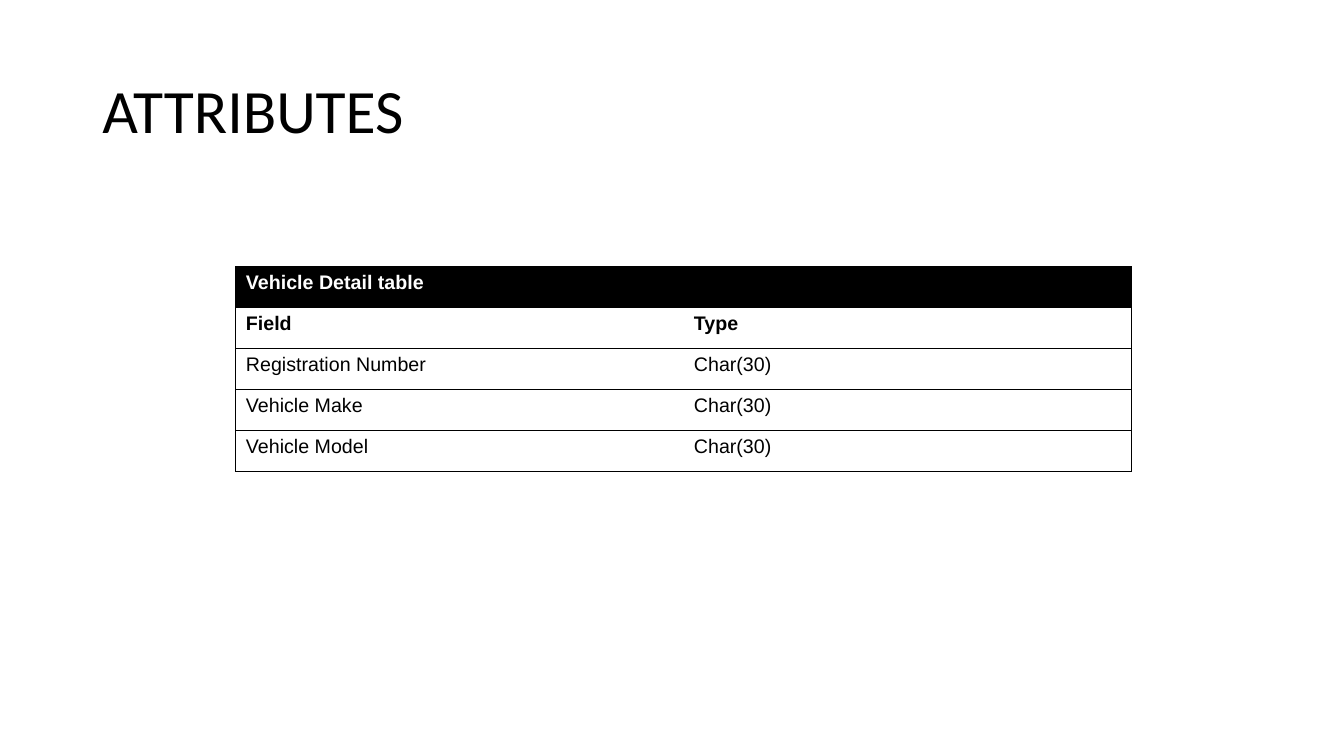
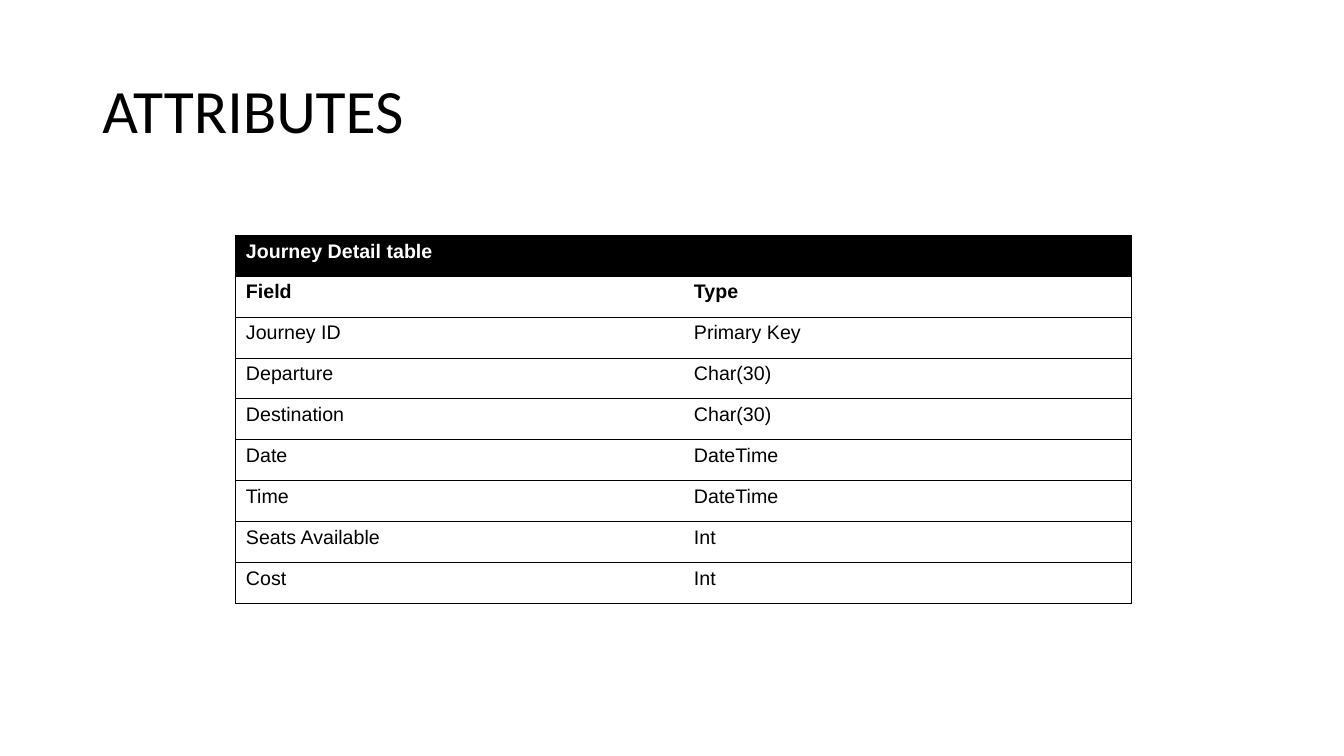
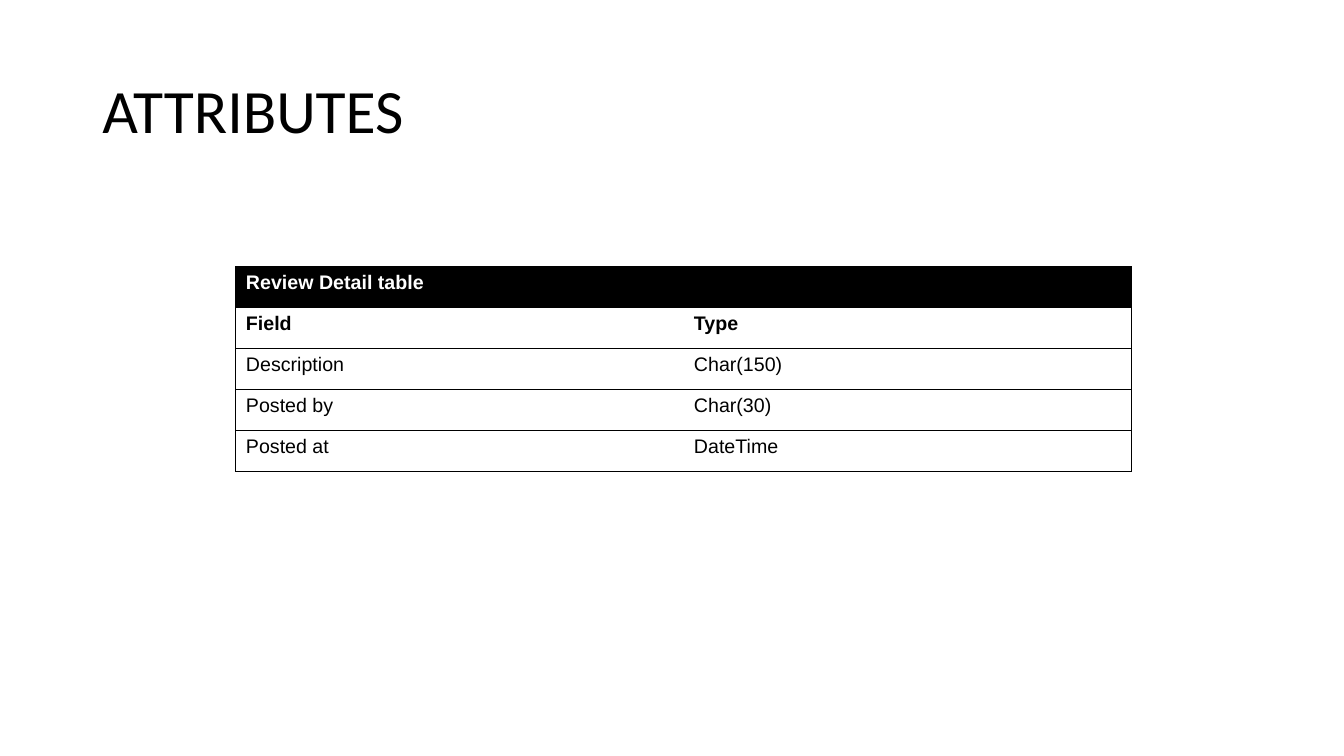
from dataclasses import dataclass

from lxml import etree
from pptx import Presentation
from pptx.dml.color import RGBColor
from pptx.enum.text import MSO_ANCHOR
from pptx.oxml.ns import qn
from pptx.slide import Slide
from pptx.table import _Cell
from pptx.text.text import _Paragraph
from pptx.util import Pt

MIDDLE = MSO_ANCHOR.MIDDLE
BLACK = RGBColor(0x00, 0x00, 0x00)
WHITE = RGBColor(0xFF, 0xFF, 0xFF)

TITLE = "ATTRIBUTES"
TITLE_FONT = "Calibri"
TABLE_FONT = "Arial"
TABLE_LEFT = 168.5
COLUMN_WIDTH = 320
ROW_HEIGHT = 29.25
BORDER_WIDTH = 0.75


@dataclass(frozen=True)
class Entity:
    heading: str
    top: float
    fields: tuple[tuple[str, str], ...]


ENTITIES = (
    Entity("Vehicle Detail table", 190.5, (
        ("Registration Number", "Char(30)"),
        ("Vehicle Make", "Char(30)"),
        ("Vehicle Model", "Char(30)"),
    )),
    Entity("Journey Detail table", 168, (
        ("Journey ID", "Primary Key"),
        ("Departure", "Char(30)"),
        ("Destination", "Char(30)"),
        ("Date", "DateTime"),
        ("Time", "DateTime"),
        ("Seats Available", "Int"),
        ("Cost", "Int"),
    )),
    Entity("Review Detail table", 190.5, (
        ("Description", "Char(150)"),
        ("Posted by", "Char(30)"),
        ("Posted at", "DateTime"),
    )),
)


def add_run(paragraph: _Paragraph, text: str, font: str, size: float,
            color: RGBColor, bold: bool = False) -> None:
    run = paragraph.add_run()
    run.text = text
    run.font.name = font
    run.font.size = Pt(size)
    run.font.bold = bold
    run.font.color.rgb = color


def add_title(slide: Slide) -> None:
    title = slide.shapes.add_textbox(Pt(66), Pt(28.75), Pt(828), Pt(104.5))
    frame = title.text_frame
    frame.word_wrap = True
    frame.vertical_anchor = MIDDLE
    paragraph = frame.paragraphs[0]
    paragraph.line_spacing = 0.9
    add_run(paragraph, TITLE, TITLE_FONT, 44, BLACK)


def set_borders(cell: _Cell, hidden_side: str) -> None:
    properties = cell._tc.get_or_add_tcPr()
    for side in ("lnL", "lnR", "lnT", "lnB"):
        line = etree.SubElement(properties, qn(f"a:{side}"), w=str(Pt(BORDER_WIDTH)))
        if side == hidden_side:
            etree.SubElement(line, qn("a:noFill"))
        else:
            fill = etree.SubElement(line, qn("a:solidFill"))
            etree.SubElement(fill, qn("a:srgbClr"), val=str(BLACK))


def add_entity_table(slide: Slide, entity: Entity) -> None:
    rows = ((entity.heading, ""), ("Field", "Type"), *entity.fields)
    table = slide.shapes.add_table(
        len(rows), 2, Pt(TABLE_LEFT), Pt(entity.top),
        Pt(2 * COLUMN_WIDTH), Pt(len(rows) * ROW_HEIGHT)).table
    table.first_row = False
    table.horz_banding = False
    for column in table.columns:
        column.width = Pt(COLUMN_WIDTH)
    for row_index, texts in enumerate(rows):
        table.rows[row_index].height = Pt(ROW_HEIGHT)
        is_heading = row_index == 0
        for column_index, text in enumerate(texts):
            cell = table.cell(row_index, column_index)
            set_borders(cell, "lnL" if column_index else "lnR")
            cell.fill.solid()
            cell.fill.fore_color.rgb = BLACK if is_heading else WHITE
            if text:
                add_run(cell.text_frame.paragraphs[0], text, TABLE_FONT, 14,
                        WHITE if is_heading else BLACK, bold=row_index < 2)
    table.cell(0, 0).merge(table.cell(0, 1))


def main() -> None:
    deck = Presentation()
    deck.slide_width = Pt(960)
    deck.slide_height = Pt(540)
    blank = deck.slide_layouts[6]
    for entity in ENTITIES:
        slide = deck.slides.add_slide(blank)
        add_title(slide)
        add_entity_table(slide, entity)
    deck.save("out.pptx")


if __name__ == "__main__":
    main()
